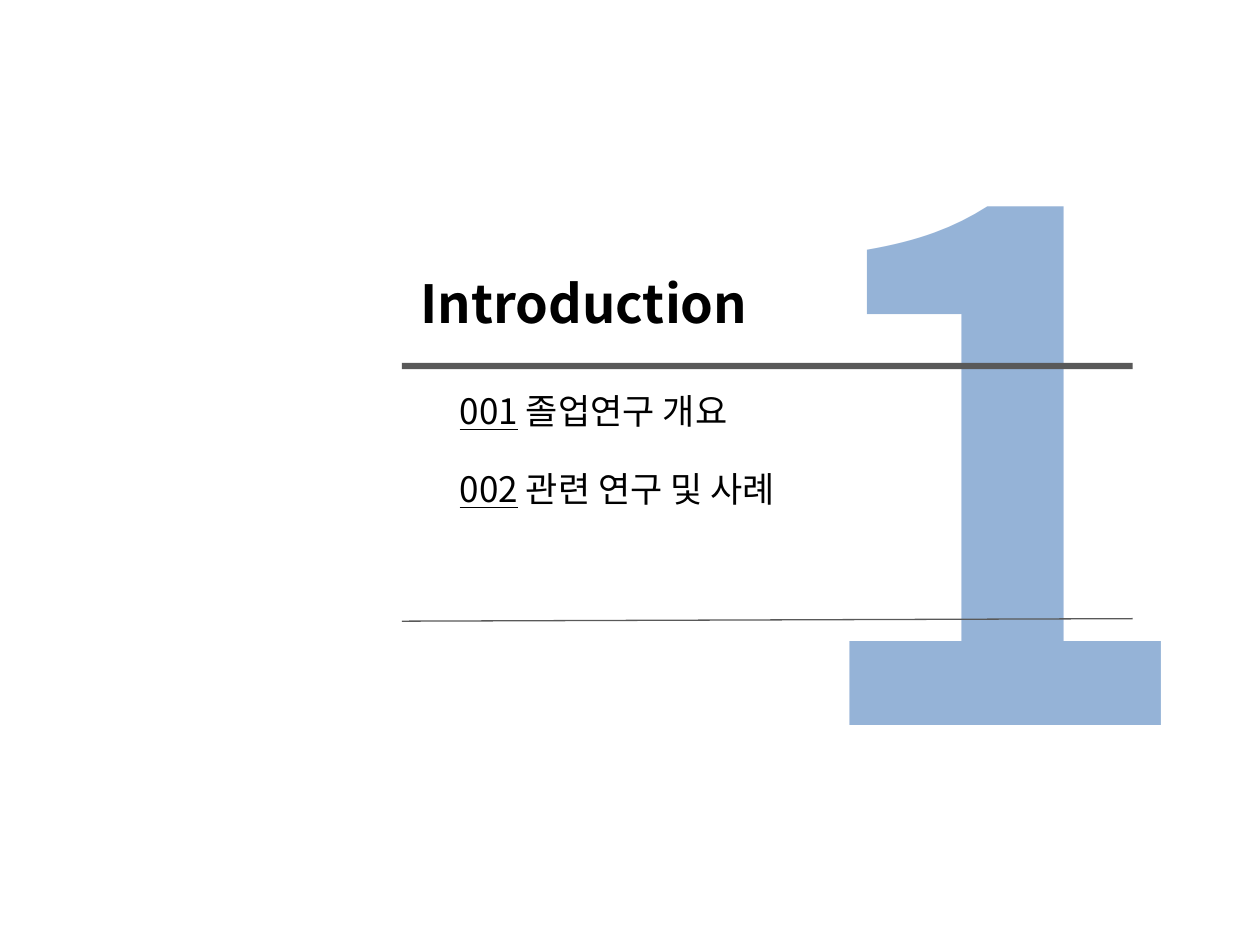
import pptx
import pptx.dml.color
import pptx.enum.shapes
import pptx.enum.text
import pptx.oxml.ns
import pptx.util
from lxml import etree

FONT = "Noto Sans CJK KR"
BLACK, GRAY, BLUE = "000000", "595959", "95B3D7"

deck = pptx.Presentation()
deck.slide_width = pptx.util.Inches(10)
deck.slide_height = pptx.util.Inches(7.5)
page = deck.slides.add_slide(deck.slide_layouts[6])
inch = pptx.util.Inches


def color(code):
    return pptx.dml.color.RGBColor.from_string(code)


def add_text(left, top, width, height, spans, size, code=BLACK, bold=False):
    """Place one line of text; spans are (words, underlined) pairs."""
    box = page.shapes.add_textbox(inch(left), inch(top), inch(width), inch(height))
    box.text_frame.word_wrap = False
    box.text_frame.auto_size = pptx.enum.text.MSO_AUTO_SIZE.SHAPE_TO_FIT_TEXT
    para = box.text_frame.paragraphs[0]
    for words, underlined in spans:
        span = para.add_run()
        span.text = words
        span.font.size = pptx.util.Pt(size)
        span.font.bold = bold
        span.font.underline = underlined
        span.font.color.rgb = color(code)
        span.font.name = FONT
        # Korean letters take their typeface from the East Asian font
        latin = span.font._element.find(pptx.oxml.ns.qn("a:latin"))
        east_asian = etree.Element(pptx.oxml.ns.qn("a:ea"), typeface=FONT)
        latin.addnext(east_asian)


# Columns shared by the two rules
rule_left, rule_width = 3.19, 5.8

# Large chapter number, behind everything else
add_text(6.19, 0.15, 3.45, 6.83, [("1", False)], 400, BLUE, bold=True)

# Thick rule under the title
bar = page.shapes.add_shape(
    pptx.enum.shapes.MSO_SHAPE.RECTANGLE,
    inch(rule_left), inch(2.88), inch(rule_width), inch(0.05),
)
bar.shadow.inherit = False
bar.fill.solid()
bar.fill.fore_color.rgb = color(GRAY)
bar.line.fill.background()

# Chapter title
add_text(3.24, 2.1, 2.96, 0.61, [("Introduction", False)], 30, bold=True)

# Thin closing rule, rising slightly to the right
rule = page.shapes.add_connector(
    pptx.enum.shapes.MSO_CONNECTOR.STRAIGHT,
    inch(rule_left), inch(4.93), inch(rule_left + rule_width), inch(4.91),
)
rule.line.color.rgb = color(GRAY)
rule.line.width = pptx.util.Pt(0.75)
etree.SubElement(rule._element.spPr, pptx.oxml.ns.qn("a:effectLst"))

# Numbered sections, one per row
sections = [("졸업연구 개요", 2.69), ("관련 연구 및 사례", 3.06)]
for row, (name, width) in enumerate(sections):
    spans = [(f"{row + 1:03d}", True), (f" {name}", False)]
    add_text(3.55, 3.04 + row * 0.62, width, 0.44, spans, 20)

deck.save("out.pptx")
